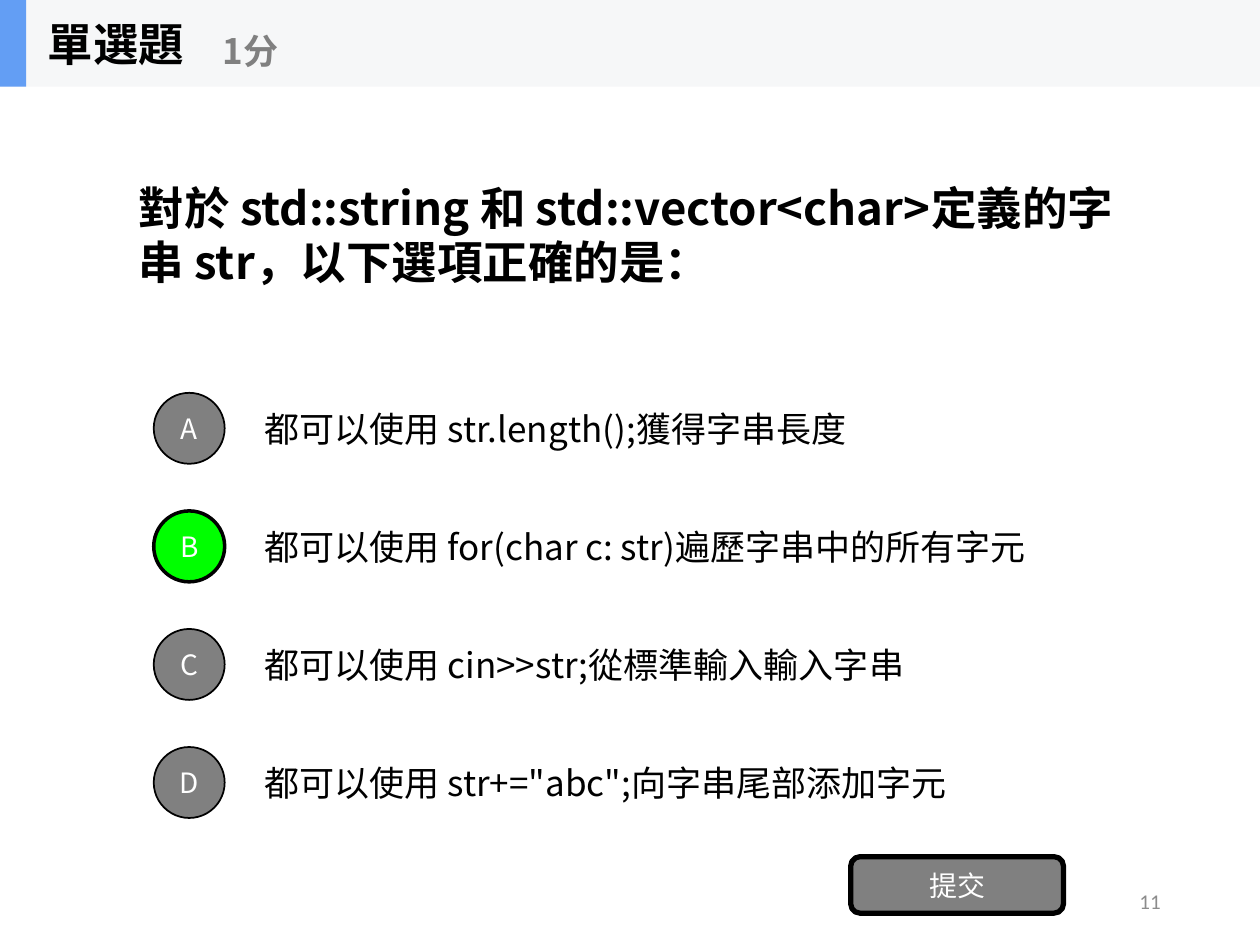
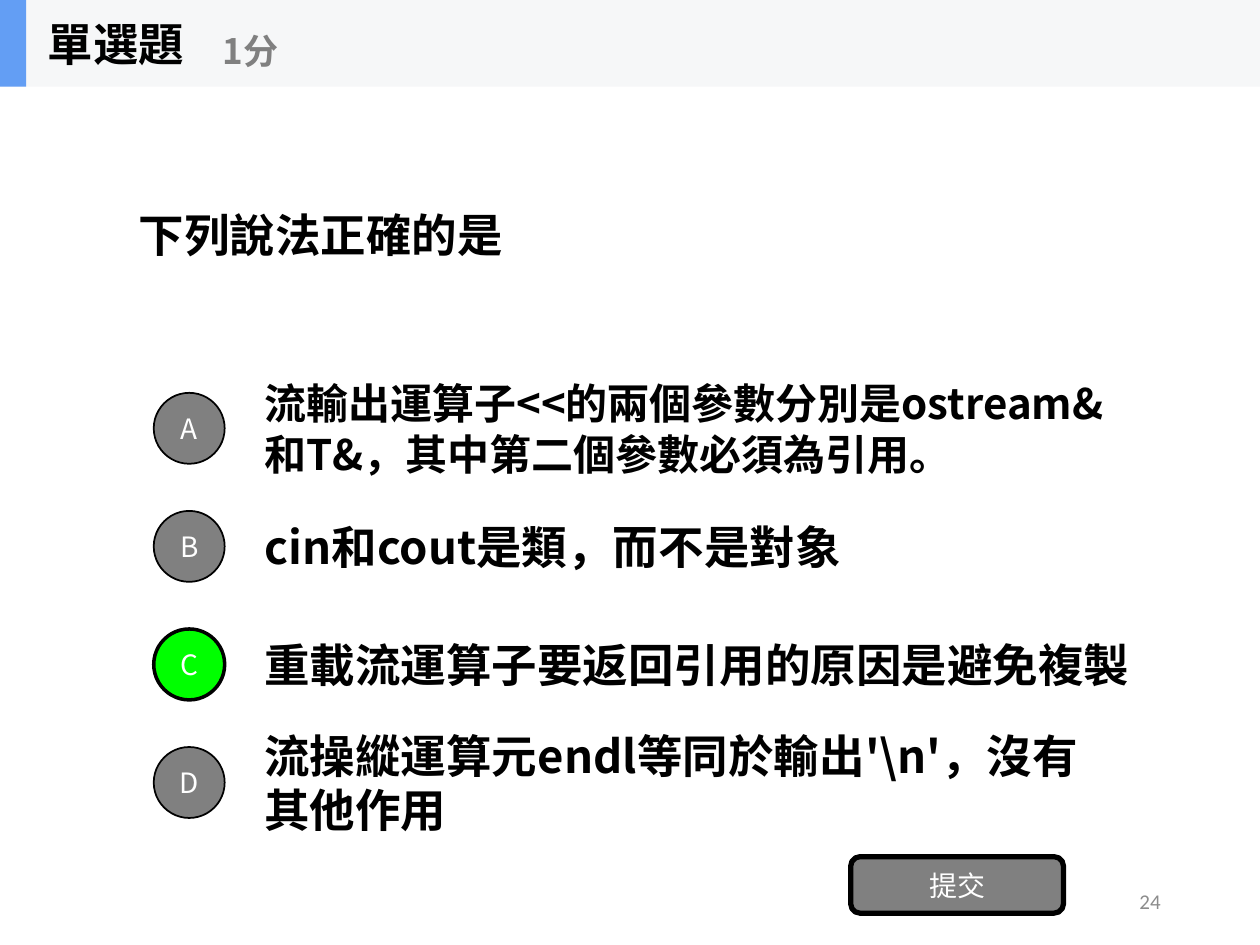
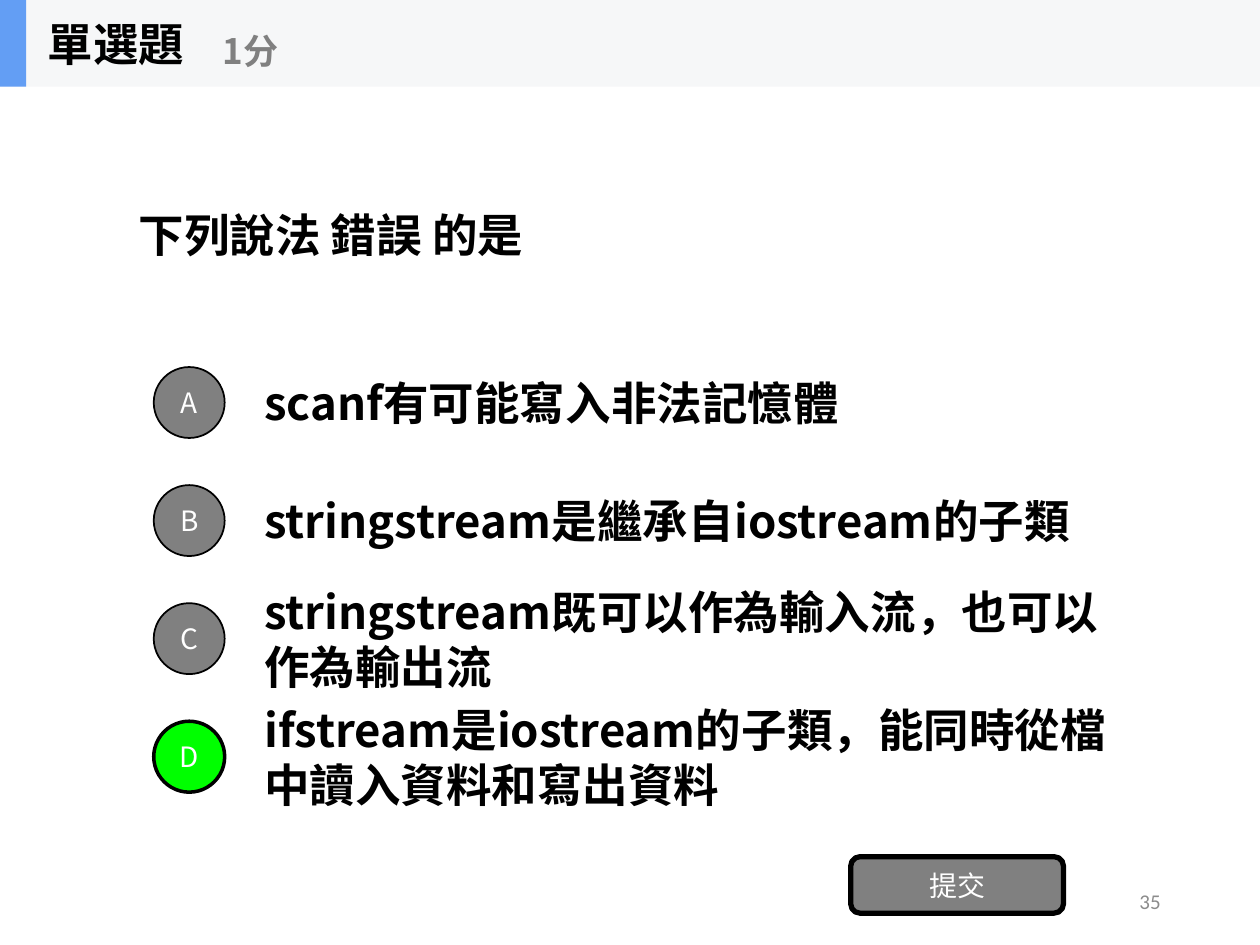
from pptx import Presentation
from pptx.dml.color import RGBColor
from pptx.enum.shapes import MSO_SHAPE
from pptx.enum.text import MSO_ANCHOR, MSO_AUTO_SIZE, PP_ALIGN
from pptx.oxml.ns import qn
from pptx.util import Cm, Pt

COLORS = {
    "ink": "000000",
    "white": "FFFFFF",
    "gray": "808080",
    "number": "8C8C8C",
    "correct": "00FF00",
    "band": "F6F7F8",
    "accent": "639EF4",
}
FONT = "Noto Sans CJK SC"
SLIDE_WIDTH = 25.4
BAND_HEIGHT = 1.75
OPTION_HEIGHT = 1.79
OPTION_STEP = 2.38
CIRCLE_SIZE = 1.43

HEADING = {"size": Pt(26), "bold": True}
OPTION = {"size": Pt(20), "bold": False}
SMALL_HEADING = {"size": Pt(24), "bold": True}
POINTS = {"size": Pt(20), "bold": True}
LABEL = {"size": Pt(16), "bold": False}
NUMBER = {"size": Pt(12), "bold": False, "name": "Calibri"}

QUESTIONS = [
    {
        "number": "11",
        "question": "對於 std::string 和 std::vector<char>定義的字串 str，以下選項正確的是：",
        "top": 7.74,
        "correct": "B",
        "options": [
            ("都可以使用 str.length();獲得字串長度", OPTION, 17.78),
            ("都可以使用 for(char c: str)遍歷字串中的所有字元", OPTION, 17.78),
            ("都可以使用 cin>>str;從標準輸入輸入字串", OPTION, 17.78),
            ('都可以使用 str+="abc";向字串尾部添加字元', OPTION, 17.78),
        ],
    },
    {
        "number": "24",
        "question": "下列說法正確的是",
        "top": 7.74,
        "correct": "C",
        "options": [
            ("流輸出運算子<<的兩個參數分別是ostream&和T&，其中第二個參數必須為引用。", SMALL_HEADING, 18.21),
            ("cin和cout是類，而不是對象", HEADING, 17.78),
            ("重載流運算子要返回引用的原因是避免複製", HEADING, 18.57),
            (r"流操縱運算元endl等同於輸出'\n'，沒有其他作用", HEADING, 17.78),
        ],
    },
    {
        "number": "35",
        "question": "下列說法 錯誤 的是",
        "top": 7.22,
        "correct": "D",
        "options": [
            ("scanf有可能寫入非法記憶體", HEADING, 17.78),
            ("stringstream是繼承自iostream的子類", HEADING, 17.78),
            ("stringstream既可以作為輸入流，也可以作為輸出流", HEADING, 17.78),
            ("ifstream是iostream的子類，能同時從檔中讀入資料和寫出資料", HEADING, 17.78),
        ],
    },
]


def color(name):
    return RGBColor.from_string(COLORS[name])


def write(box, text, style, ink="ink", align=PP_ALIGN.LEFT):
    frame = box.text_frame
    frame_format = {
        "word_wrap": True,
        "auto_size": MSO_AUTO_SIZE.NONE,
        "vertical_anchor": MSO_ANCHOR.MIDDLE,
    }
    for key, value in frame_format.items():
        setattr(frame, key, value)
    para = frame.paragraphs[0]
    para.alignment = align
    span = para.add_run()
    span.text = text
    for key, value in ({"name": FONT} | style).items():
        setattr(span.font, key, value)
    span.font.color.rgb = color(ink)
    east_asian = span.font._element.makeelement(qn("a:ea"), {"typeface": span.font.name})
    span.font._element.find(qn("a:latin")).addnext(east_asian)


def add_text(shapes, place, text, style, ink="ink", align=PP_ALIGN.LEFT):
    box = shapes.add_textbox(*map(Cm, place))
    write(box, text, style, ink, align)


def add_block(shapes, kind, place, fill, line_width=0):
    block = shapes.add_shape(kind, *map(Cm, place))
    block.shadow.inherit = False
    block.fill.solid()
    block.fill.fore_color.rgb = color(fill)
    if line_width:
        block.line.color.rgb = color("ink")
        block.line.width = Pt(line_width)
    else:
        block.line.fill.background()
    return block


def add_button(shapes, kind, place, text, fill, line_width):
    button = add_block(shapes, kind, place, fill, line_width)
    for side in ("left", "right", "top", "bottom"):
        setattr(button.text_frame, f"margin_{side}", 0)
    write(button, text, LABEL, "white", PP_ALIGN.CENTER)


def set_question(page, text):
    title = page.shapes.title
    place = {"left": 2.54, "top": BAND_HEIGHT, "width": 20.32, "height": 5.94}
    for key, value in place.items():
        setattr(title, key, Cm(value))
    write(title, text, HEADING)


def add_options(page, question):
    for index, (text, style, width) in enumerate(question["options"]):
        top = question["top"] + index * OPTION_STEP
        add_text(page.shapes, (5.08, top, width, OPTION_HEIGHT), text, style)
    for index, letter in enumerate("ABCD"):
        top = question["top"] + index * OPTION_STEP + (OPTION_HEIGHT - CIRCLE_SIZE) / 2
        fill, line_width = ("correct", 2) if letter == question["correct"] else ("gray", 1)
        place = (3.1, top, CIRCLE_SIZE, CIRCLE_SIZE)
        add_button(page.shapes, MSO_SHAPE.OVAL, place, letter, fill, line_width)


def add_header(page):
    shapes = page.shapes.add_group_shape().shapes
    add_block(shapes, MSO_SHAPE.RECTANGLE, (0, 0, SLIDE_WIDTH, BAND_HEIGHT), "band")
    add_block(shapes, MSO_SHAPE.RECTANGLE, (0, 0, 0.53, BAND_HEIGHT), "accent")
    add_text(shapes, (0.71, 0, 5.28, BAND_HEIGHT), "單選題", HEADING)
    add_text(shapes, (4.24, 0.3, 6.35, 1.42), "1分", POINTS, "gray")


def add_question_page(deck, question):
    page = deck.slides.add_slide(deck.slide_layouts[5])
    set_question(page, question["question"])
    add_text(page.shapes, (17.93, 17.65, 5.72, 1.02), question["number"], NUMBER, "number", PP_ALIGN.RIGHT)
    add_options(page, question)
    add_button(page.shapes, MSO_SHAPE.ROUNDED_RECTANGLE, (17.15, 17.27, 4.29, 1.14), "提交", "gray", 3)
    add_header(page)


def main():
    deck = Presentation()
    deck.slide_width = Cm(SLIDE_WIDTH)
    deck.slide_height = Cm(19.05)
    for question in QUESTIONS:
        add_question_page(deck, question)
    deck.save("out.pptx")


if __name__ == "__main__":
    main()
